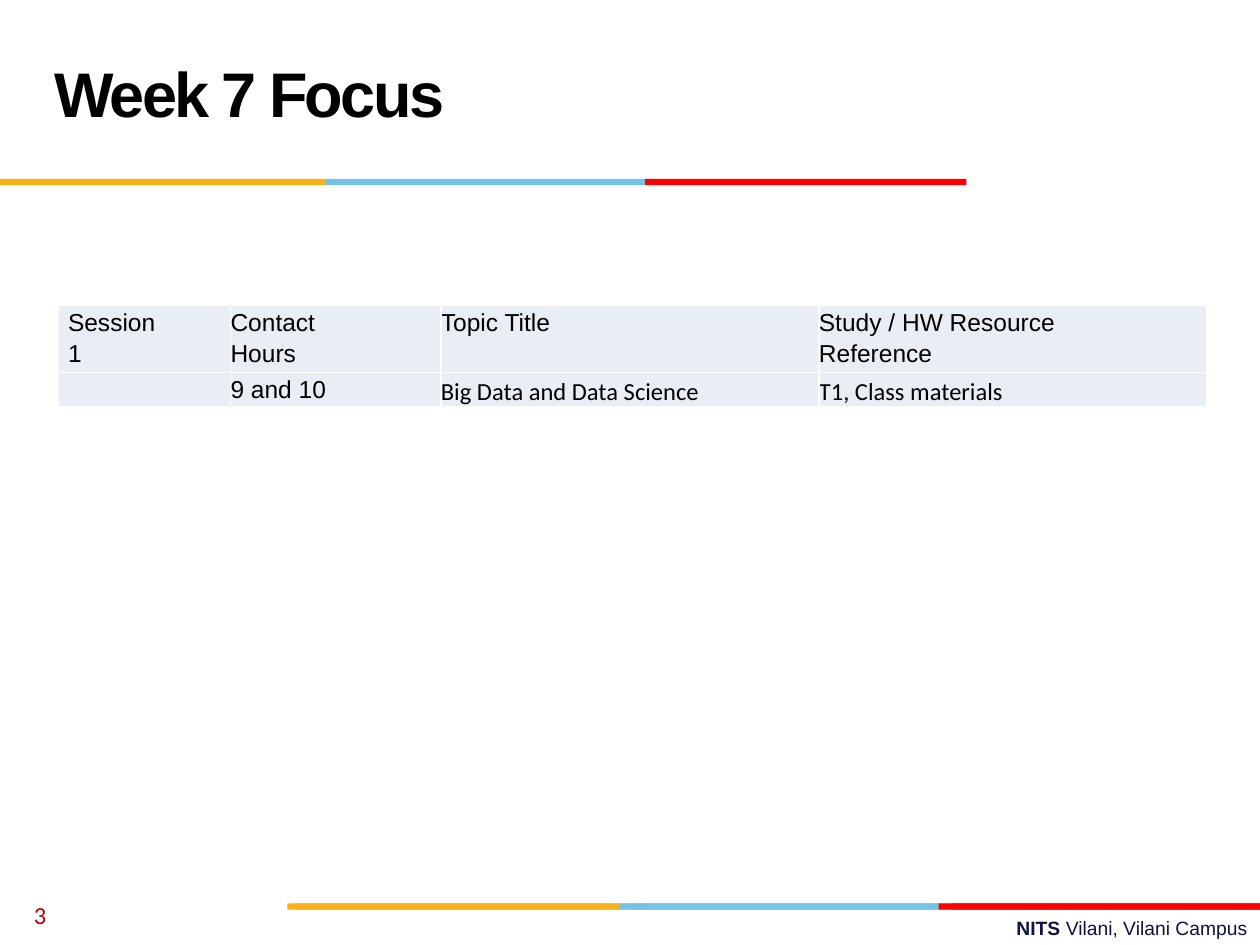
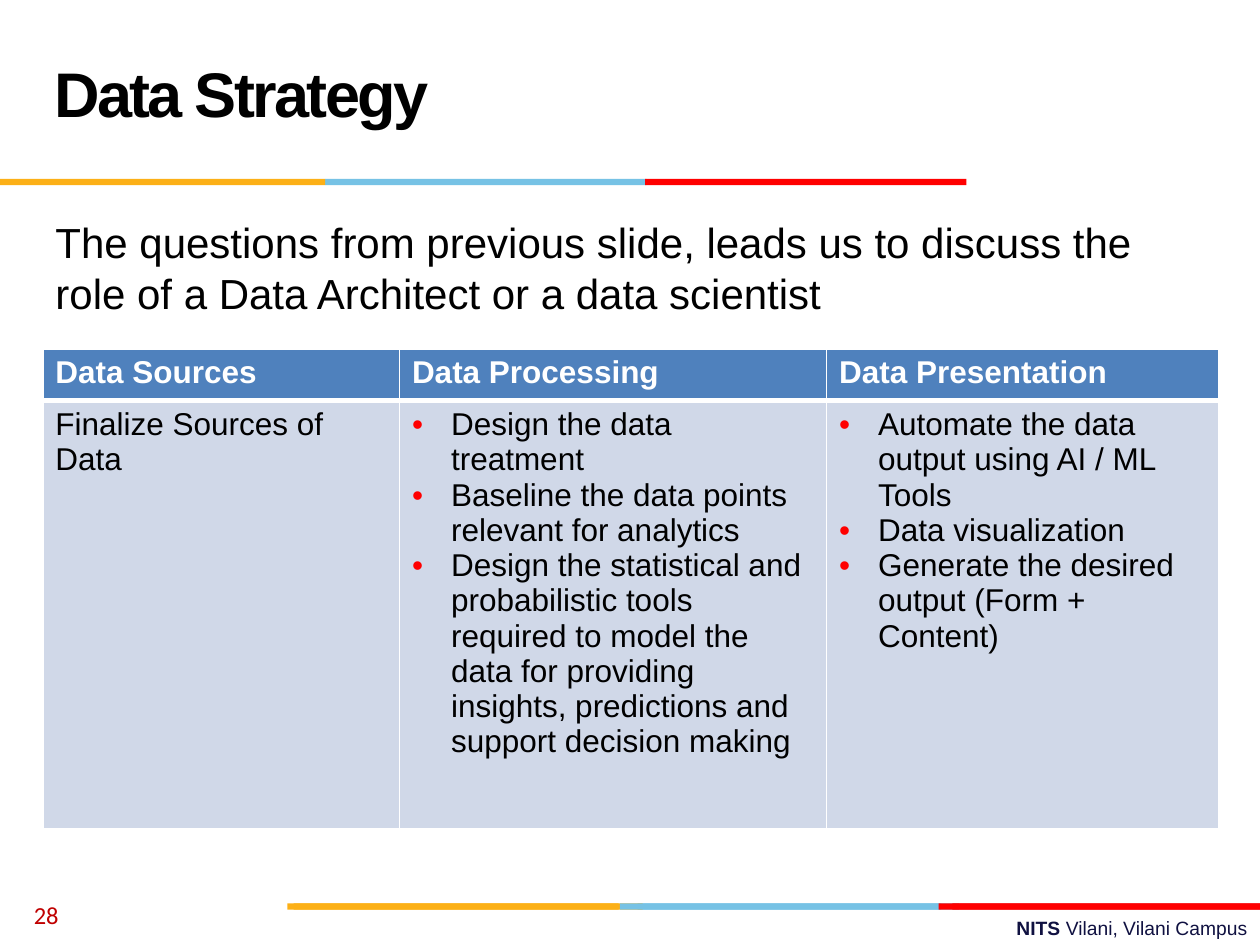
import pptx
import pptx.dml.color
import pptx.enum.shapes
import pptx.enum.text
import pptx.oxml
import pptx.oxml.ns
import pptx.util
from pptx.util import Inches

AMBER, SKY, RED = "FCB017", "76C2E5", "FF0000"
BLACK, WHITE, NAVY = "000000", "FFFFFF", "101141"
ALIGN = pptx.enum.text.PP_ALIGN
MIDDLE = pptx.enum.text.MSO_ANCHOR.MIDDLE


def style(font, size, color, name="Arial", bold=False):
    font.size = pptx.util.Pt(size)
    font.name = name
    font.bold = bold
    font.color.rgb = pptx.dml.color.RGBColor.from_string(color)


def format_cell(cell, fill, top=1, bottom=1):
    """Fill a cell and give it white borders, widths in points."""
    cell.fill.solid()
    cell.fill.fore_color.rgb = pptx.dml.color.RGBColor.from_string(fill)
    edges = [("lnL", 1), ("lnR", 1), ("lnT", top), ("lnB", bottom)]
    for position, (edge, width) in enumerate(edges):
        line = pptx.oxml.parse_xml(
            f'<a:{edge} {pptx.oxml.ns.nsdecls("a")} w="{width * 12700}">'
            f'<a:solidFill><a:srgbClr val="{WHITE}"/></a:solidFill></a:{edge}>')
        cell._tc.get_or_add_tcPr().insert(position, line)


deck = pptx.Presentation()
deck.slide_width, deck.slide_height = Inches(10), Inches(7.5)

# Shared bands: left, top, width, colour
bands = [
    (5.06, 7.17, 2.55, SKY), (7.56, 7.17, 2.44, "E31C24"), (2.28, 7.17, 2.82, AMBER),
    (4.92, 7.17, 2.55, SKY), (2.33, 7.17, 2.58, AMBER), (7.45, 7.17, 2.55, RED),
    (2.58, 1.42, 2.55, SKY), (0, 1.42, 2.58, AMBER), (5.12, 1.42, 2.55, RED),
]

# Title, bands, footer and number of each page: layout, title, title width, number
pages = []
for layout, title_text, title_width, number in [
        (5, "Week 7 Focus", 6.92, "3"), (1, "Data Strategy", 9.33, "28")]:
    page = deck.slides.add_slide(deck.slide_layouts[layout])
    pages.append(page)

    for left, top, width, color in bands:
        band = page.shapes.add_shape(
            pptx.enum.shapes.MSO_SHAPE.RECTANGLE,
            Inches(left), Inches(top), Inches(width), Inches(0.05))
        band.shadow.inherit = False
        band.fill.solid()
        band.fill.fore_color.rgb = pptx.dml.color.RGBColor.from_string(color)
        band.line.fill.background()

    title = page.shapes.title
    title.left, title.top = Inches(0.33), Inches(0.16)
    title.width, title.height = Inches(title_width), Inches(1.25)
    title.text_frame.text = title_text
    title.text_frame.auto_size = pptx.enum.text.MSO_AUTO_SIZE.NONE
    title.text_frame.vertical_anchor = MIDDLE
    para = title.text_frame.paragraphs[0]
    para.alignment = ALIGN.LEFT
    para.line_spacing = pptx.util.Pt(36)
    style(para.font, 36, BLACK, bold=True)
    para.runs[0]._r.get_or_add_rPr().set("spc", "-150")

    footer = page.shapes.add_textbox(Inches(3.58), Inches(7.22), Inches(6.42), Inches(0.29))
    footer.text_frame.word_wrap = True
    para = footer.text_frame.paragraphs[0]
    para.alignment = ALIGN.RIGHT
    for text, bold in [("NITS ", True), ("Vilani, Vilani Campus", False)]:
        span = para.add_run()
        span.text = text
        style(span.font, 11, NAVY, bold=bold)

    number_box = page.shapes.add_textbox(Inches(0.17), Inches(7.06), Inches(2.33), Inches(0.4))
    number_box.text_frame.word_wrap = True
    number_box.text_frame.vertical_anchor = MIDDLE
    number_box.text_frame.text = number
    style(number_box.text_frame.paragraphs[0].font, 14, "C00000", "Calibri")

focus_page, strategy_page = pages

# Week 7 Focus: session table
sessions = [
    ["Session 1", "Contact Hours", "Topic Title", "Study / HW Resource Reference"],
    ["", "9 and 10", "Big Data and Data Science", "T1, Class materials"],
]
table = focus_page.shapes.add_table(
    2, 4, Inches(0.46), Inches(2.42), Inches(9.12), Inches(0.8)).table
table.first_row = table.horz_banding = False
for column, width in zip(table.columns, [1.37, 1.67, 3, 3.08]):
    column.width = Inches(width)
for row, height in zip(table.rows, [0.53, 0.27]):
    row.height = Inches(height)
for row_index, texts in enumerate(sessions):
    for column_index, text in enumerate(texts):
        cell = table.cell(row_index, column_index)
        format_cell(cell, "E9EDF4")
        cell.margin_top = cell.margin_bottom = 0
        cell.margin_left = Inches(0.08 if column_index == 0 else 0)
        cell.margin_right = Inches(0.55 if row_index == 0 else 0)
        cell.text = text
        para = cell.text_frame.paragraphs[0]
        para.line_spacing = 1.15
        in_calibri = row_index == 1 and column_index >= 2
        if in_calibri:
            para.space_after = pptx.util.Pt(10)
        style(para.font, 14, BLACK, "Calibri" if in_calibri else "Arial")

# Data Strategy: introduction
intro = strategy_page.placeholders[1]
intro.left, intro.top = Inches(0.34), Inches(1.67)
intro.width, intro.height = Inches(8.9), Inches(1.31)
intro.text_frame.text = ("The questions from previous slide, leads us to discuss the "
                         "role of a Data Architect or a data scientist")
intro.text_frame.auto_size = pptx.enum.text.MSO_AUTO_SIZE.NONE
para = intro.text_frame.paragraphs[0]
para.space_before = pptx.util.Pt(0)
style(para.font, 24, BLACK)
properties = para._p.get_or_add_pPr()
properties.set("marL", "0")
properties.set("indent", "0")
properties.insert_element_before(
    pptx.oxml.parse_xml(f'<a:buNone {pptx.oxml.ns.nsdecls("a")}/>'), "a:tabLst", "a:defRPr")

# Data Strategy: heading, width and items of each column
strategy = [
    ("Data Sources", 2.83, ["Finalize Sources of Data"]),
    ("Data Processing", 3.39, [
        "Design the data treatment",
        "Baseline the data points relevant for analytics",
        "Design the statistical and probabilistic tools required to model the data "
        "for providing insights, predictions and support decision making"]),
    ("Data Presentation", 3.11, [
        "Automate the data output using AI / ML Tools",
        "Data visualization",
        "Generate the desired output (Form + Content)"]),
]
table = strategy_page.shapes.add_table(
    2, 3, Inches(0.34), Inches(2.77), Inches(9.33), Inches(3.81)).table
table.horz_banding = False
table.rows[0].height, table.rows[1].height = Inches(0.41), Inches(3.4)
for column_index, (heading, width, items) in enumerate(strategy):
    table.columns[column_index].width = Inches(width)
    head_cell, body_cell = table.cell(0, column_index), table.cell(1, column_index)
    format_cell(head_cell, "4F81BD", bottom=3)
    format_cell(body_cell, "D0D8E8", top=3)
    body_cell.margin_right = Inches(0.14)
    head_cell.text = heading
    style(head_cell.text_frame.paragraphs[0].font, 18, WHITE, bold=True)
    body_cell.text = "\n".join(items)
    for para in body_cell.text_frame.paragraphs:
        style(para.font, 18, BLACK)
        if len(items) > 1:
            properties = para._p.get_or_add_pPr()
            properties.set("marL", str(Inches(0.31)))
            properties.set("indent", str(-Inches(0.31)))
            for bullet_xml in [
                    f'<a:buClr {{}}><a:srgbClr val="{RED}"/></a:buClr>',
                    '<a:buFont {} typeface="Arial"/>', '<a:buChar {} char="•"/>']:
                bullet = pptx.oxml.parse_xml(bullet_xml.format(pptx.oxml.ns.nsdecls("a")))
                properties.insert_element_before(bullet, "a:tabLst", "a:defRPr")

deck.save("out.pptx")
